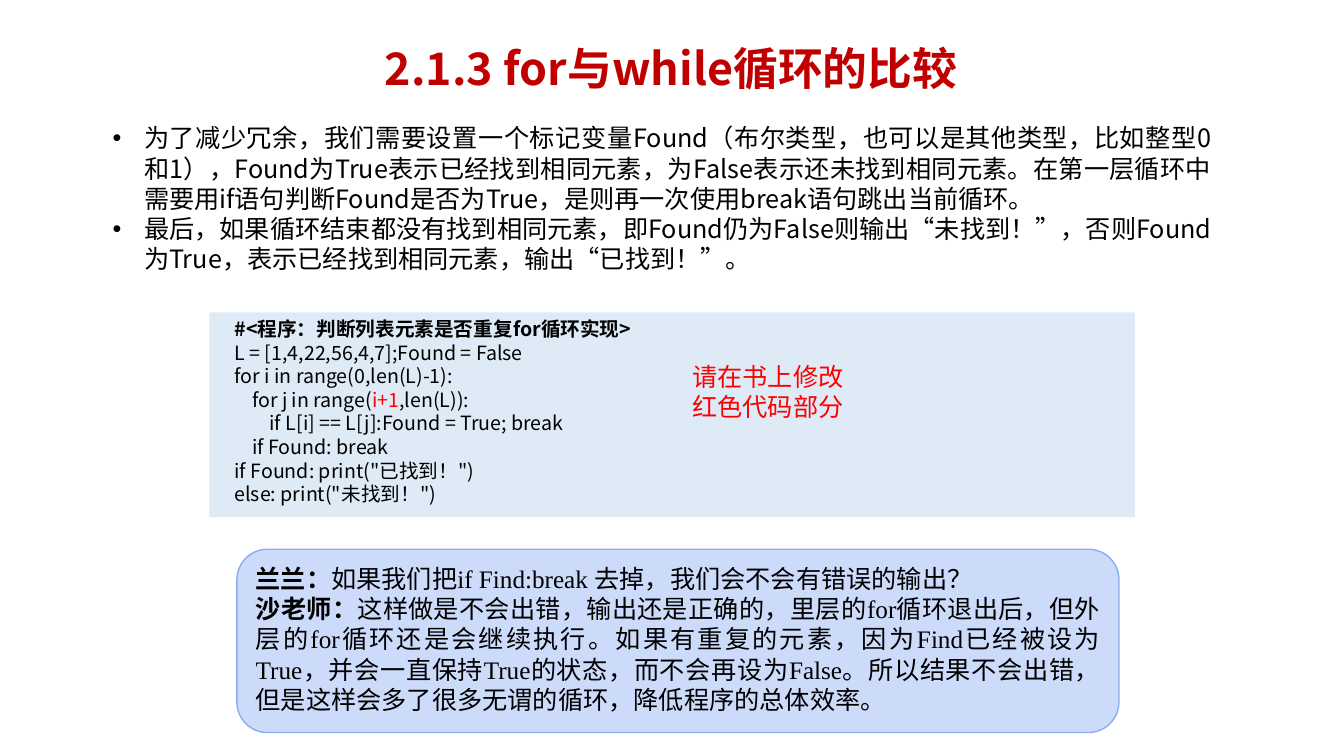
from lxml import etree
from pptx import Presentation
from pptx.dml.color import RGBColor
from pptx.enum.shapes import MSO_SHAPE
from pptx.enum.text import MSO_ANCHOR, PP_ALIGN
from pptx.oxml.ns import qn
from pptx.util import Cm, Pt

BLACK = RGBColor(0, 0, 0)
RED = RGBColor(0xFF, 0, 0)
TITLE_RED = RGBColor(0xC0, 0, 0)
CODE_FILL = RGBColor(0xDE, 0xEA, 0xF6)
DIALOGUE_FILL = RGBColor(0xCD, 0xDB, 0xFB)
DIALOGUE_LINE = RGBColor(0x8B, 0xAC, 0xF5)
SANS = "Noto Sans CJK SC"
SERIF = "Times New Roman"
RECTANGLE = MSO_SHAPE.RECTANGLE
ROUNDED = MSO_SHAPE.FLOWCHART_ALTERNATE_PROCESS
TOP, MIDDLE = MSO_ANCHOR.TOP, MSO_ANCHOR.MIDDLE
LEFT, CENTER, JUSTIFY = PP_ALIGN.LEFT, PP_ALIGN.CENTER, PP_ALIGN.JUSTIFY

EXPLANATION = [
    "为了减少冗余，我们需要设置一个标记变量Found（布尔类型，也可以是其他类型，比如整型0和1），"
    "Found为True表示已经找到相同元素，为False表示还未找到相同元素。在第一层循环中需要用if语句判断"
    "Found是否为True，是则再一次使用break语句跳出当前循环。",
    "最后，如果循环结束都没有找到相同元素，即Found仍为False则输出“未找到！”，否则Found为True，"
    "表示已经找到相同元素，输出“已找到！”。",
]
CODE_HEADING = "#<程序：判断列表元素是否重复for循环实现>"
CODE = [
    ["L = [1,4,22,56,4,7];Found = False"],
    ["for i in range(0,len(L)-1):"],
    ["    for j in range(", ("i+1", {"color": RED}), ",len(L)):"],
    ["        if L[i] == L[j]:Found = True; break"],
    ["    if Found: break"],
    ['if Found: print("已找到！")'],
    ['else: print("未找到！")'],
]
QUESTION = [
    ("兰兰：", {"bold": True}),
    "如果我们把",
    ("if Find:break ", {"latin": SERIF}),
    "去掉，我们会不会有错误的输出？",
]
ANSWER = [
    ("沙老师：", {"bold": True}),
    "这样做是不会出错，输出还是正确的，里层的for循环退出后，但外层的for循环还是会继续执行。"
    "如果有重复的元素，因为Find已经被设为True，并会一直保持True的状态，而不会再设为False。"
    "所以结果不会出错，但是这样会多了很多无谓的循环，降低程序的总体效率。",
]


class SlideBuilder:
    def __init__(self, slide):
        self.slide = slide

    def text_box(self, left, top, width, height, anchor=TOP):
        box = self.slide.shapes.add_textbox(Cm(left), Cm(top), Cm(width), Cm(height))
        return self._frame(box, anchor)

    def panel(self, preset, left, top, width, height, fill, line=None):
        """Add a filled shape and return its text frame."""
        shape = self.slide.shapes.add_shape(
            preset, Cm(left), Cm(top), Cm(width), Cm(height))
        shape.shadow.inherit = False
        shape.fill.solid()
        shape.fill.fore_color.rgb = fill
        if line is None:
            shape.line.fill.background()
        else:
            shape.line.color.rgb = line
            shape.line.width = Pt(1)
        return self._frame(shape, TOP)

    def paragraph(self, frame, parts, size, color=BLACK, bold=False, latin=SANS,
                  align=JUSTIFY, bullet=False, indent=0):
        """Append a paragraph of strings and (string, font overrides) pairs."""
        paragraph = frame.paragraphs[0]
        if paragraph.runs:
            paragraph = frame.add_paragraph()
        paragraph.alignment = align
        properties = paragraph._p.get_or_add_pPr()
        if bullet:
            properties.set("marL", str(Cm(0.79)))
            properties.set("indent", str(-Cm(0.79)))
            etree.SubElement(properties, qn("a:buFont")).set("typeface", "Arial")
            etree.SubElement(properties, qn("a:buChar")).set("char", "•")
        elif indent:
            properties.set("indent", str(Cm(indent)))
        base = {"size": size, "color": color, "bold": bold, "latin": latin}
        self._style(paragraph.font, **base)
        for part in parts:
            text, overrides = (part, {}) if isinstance(part, str) else part
            run = paragraph.add_run()
            run.text = text
            if overrides:
                self._style(run.font, **{**base, **overrides})
        return paragraph

    def _frame(self, shape, anchor):
        frame = shape.text_frame
        frame.word_wrap = True
        frame.vertical_anchor = anchor
        return frame

    def _style(self, font, size, color, bold, latin):
        font.size = Pt(size)
        font.bold = bold
        font.color.rgb = color
        font.name = latin
        east_asian = etree.SubElement(font._element, qn("a:ea"))
        east_asian.set("typeface", SANS)


def main():
    presentation = Presentation()
    presentation.slide_width, presentation.slide_height = Cm(33.87), Cm(19.05)
    blank = presentation.slide_layouts[6]
    builder = SlideBuilder(presentation.slides.add_slide(blank))

    title = builder.text_box(5.97, 1.02, 21.89, 1.55, MIDDLE)
    heading = builder.paragraph(title, ["2.1.3 for与while循环的比较"], 32,
                                TITLE_RED, bold=True, align=CENTER)
    heading.line_spacing = 0.9

    explanation = builder.text_box(2.59, 2.97, 28.19, 4.11)
    for point in EXPLANATION:
        builder.paragraph(explanation, [point], 18, bullet=True)

    code = builder.panel(RECTANGLE, 5.28, 7.87, 23.32, 5.16, CODE_FILL)
    builder.paragraph(code, [CODE_HEADING], 14, bold=True, indent=0.38)
    for code_line in CODE:
        builder.paragraph(code, code_line, 14, indent=0.38)

    dialogue = builder.panel(ROUNDED, 5.97, 13.84, 22.23, 4.62,
                             DIALOGUE_FILL, DIALOGUE_LINE)
    builder.paragraph(dialogue, QUESTION, 18)
    builder.paragraph(dialogue, ANSWER, 18, latin=SERIF)

    correction = builder.text_box(17.2, 8.97, 4.6, 1.8)
    builder.paragraph(correction, ["请在书上修改红色代码部分"], 18, RED, align=LEFT)

    presentation.save("out.pptx")


if __name__ == "__main__":
    main()
